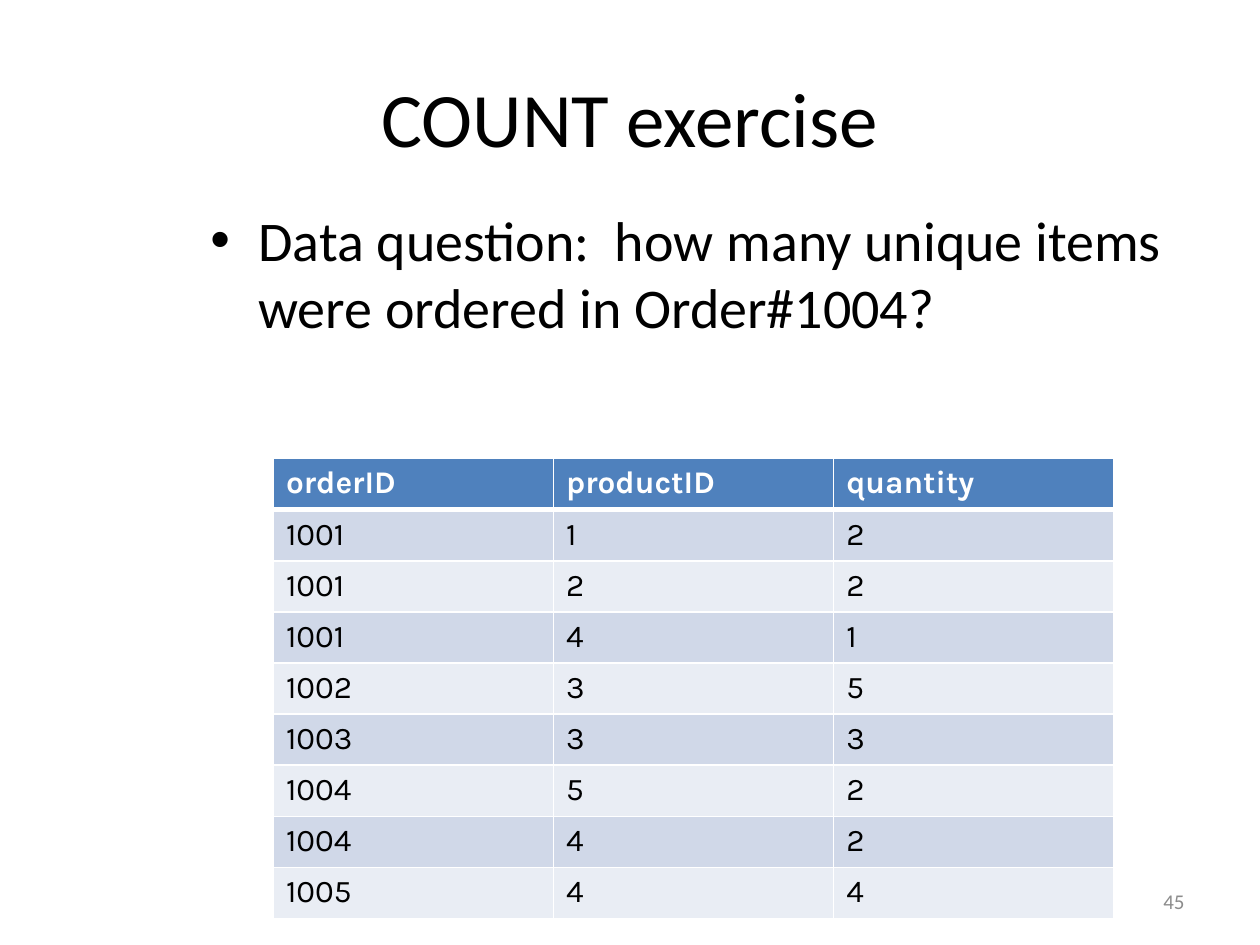
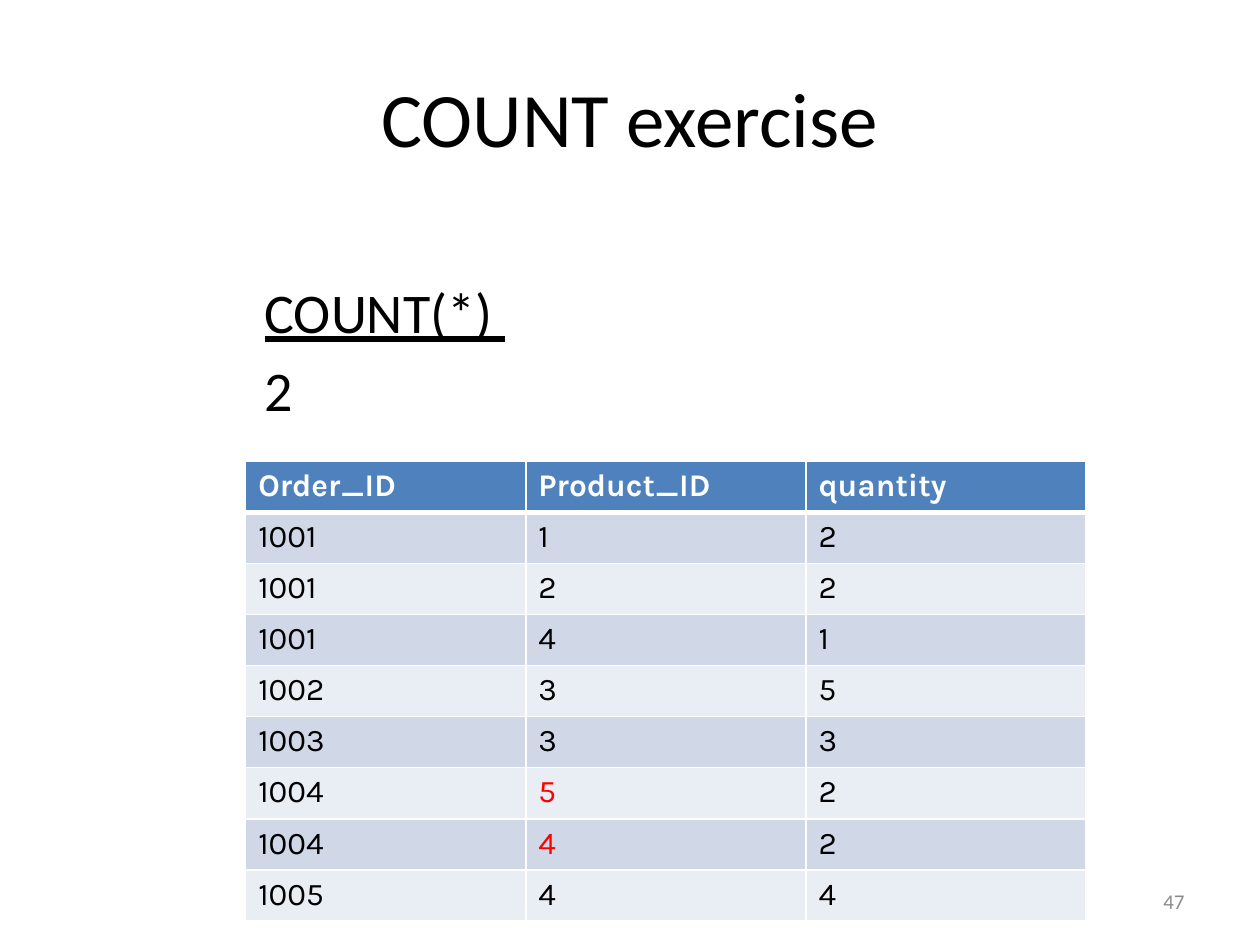
"""Builds two slides of a COUNT exercise with an order table."""
from lxml import etree
from pptx import Presentation
from pptx.dml.color import RGBColor
from pptx.enum.text import MSO_ANCHOR, MSO_AUTO_SIZE, PP_ALIGN
from pptx.oxml.ns import qn
from pptx.util import Inches, Pt

CENTER, RIGHT = PP_ALIGN.CENTER, PP_ALIGN.RIGHT
TOP, MIDDLE = MSO_ANCHOR.TOP, MSO_ANCHOR.MIDDLE
NO_FIT = MSO_AUTO_SIZE.NONE

COLORS = {
    "text": "000000",
    "page": "8C8C8C",
    "paper": "FFFFFF",
    "header": "4F81BD",
    "odd": "D0D8E8",
    "even": "E9EDF4",
    "highlight": "FF0000",
}
TEXT_FONT, TABLE_FONT = "Calibri", "Karla"
TITLE = "COUNT exercise"
ORDER_LINES = [
    ("1001", "1", "2"),
    ("1001", "2", "2"),
    ("1001", "4", "1"),
    ("1002", "3", "5"),
    ("1003", "3", "3"),
    ("1004", "5", "2"),
    ("1004", "4", "2"),
    ("1005", "4", "4"),
]


class Deck:
    """Holds the shared style and the current slide."""

    def __init__(self):
        self.presentation = Presentation()
        self.presentation.slide_width = Inches(10)
        self.presentation.slide_height = Inches(7.5)
        self.slide = None

    def new_slide(self, title, page):
        layout = self.presentation.slide_layouts[1]
        self.slide = self.presentation.slides.add_slide(layout)
        self.slide.background.fill.solid()
        self.slide.background.fill.fore_color.rgb = RGBColor.from_string(COLORS["paper"])
        heading = self.slide.shapes.title
        self.place(heading, 0.5, 0.3, 9, 1.25)
        self.fill_text(heading.text_frame, title, 44, MIDDLE, align=CENTER)
        page_box = self.slide.shapes.add_textbox(
            Inches(7.17), Inches(6.95), Inches(2.33), Inches(0.4))
        self.fill_text(page_box.text_frame, page, 12, MIDDLE, "page", RIGHT)

    def place(self, shape, left, top, width, height):
        shape.left, shape.top = Inches(left), Inches(top)
        shape.width, shape.height = Inches(width), Inches(height)

    def style(self, paragraph, size, color="text", font=TEXT_FONT, bold=False):
        for run in paragraph.runs:
            run.font.size = Pt(size)
            run.font.name = font
            run.font.bold = bold
            run.font.color.rgb = RGBColor.from_string(COLORS[color])

    def fill_text(self, frame, text, size, anchor, color="text", align=None):
        frame.text = text
        frame.word_wrap = True
        frame.auto_size = NO_FIT
        frame.vertical_anchor = anchor
        for paragraph in frame.paragraphs:
            paragraph.alignment = align
            self.style(paragraph, size, color)

    def body(self, lines, left, top, width, height, bullet=None):
        content = self.slide.placeholders[1]
        self.place(content, left, top, width, height)
        frame = content.text_frame
        self.fill_text(frame, "\n".join(lines), 32, TOP)
        for index, paragraph in enumerate(frame.paragraphs):
            properties = paragraph._p.get_or_add_pPr()
            properties.set("marL", str(Inches(0.38)))
            properties.set("indent", str(-Inches(0.38)))
            if bullet:
                etree.SubElement(properties, qn("a:buChar"), char=bullet)
            else:
                etree.SubElement(properties, qn("a:buNone"))
            paragraph.space_before = Pt(6.4 if index else 0)
        return frame

    def border(self, cell, side, width):
        line = etree.SubElement(
            cell._tc.get_or_add_tcPr(), qn(f"a:ln{side}"), w=str(Pt(width)))
        fill = etree.SubElement(line, qn("a:solidFill"))
        etree.SubElement(fill, qn("a:srgbClr"), val=COLORS["paper"])

    def cell(self, cell, text, row, color):
        cell.text = text
        header = row == 0
        self.style(cell.text_frame.paragraphs[0], 18, color, TABLE_FONT, header)
        widths = {"L": 1, "R": 1, "T": 3 if row == 1 else 1, "B": 3 if header else 1}
        for side, width in widths.items():
            self.border(cell, side, width)
        band = "header" if header else "odd" if row % 2 else "even"
        cell.fill.solid()
        cell.fill.fore_color.rgb = RGBColor.from_string(COLORS[band])

    def order_table(self, headings, left, top, highlighted=()):
        rows = [headings, *ORDER_LINES]
        table = self.slide.shapes.add_table(
            len(rows), len(headings), Inches(left), Inches(top),
            Inches(6.67), Inches(3.65)).table
        for row, values in enumerate(rows):
            for column, value in enumerate(values):
                color = "text" if row else "paper"
                if (row, column) in highlighted:
                    color = "highlight"
                self.cell(table.cell(row, column), value, row, color)


def main():
    deck = Deck()

    deck.new_slide(TITLE, "45")
    deck.body(["Data question:  how many unique items were ordered in Order#1004?"],
              1.57, 1.58, 8.2, 1.27, bullet="•")
    deck.order_table(("orderID", "productID", "quantity"), 2.17, 3.64)

    deck.new_slide(TITLE, "47")
    result = deck.body(["COUNT(*) ", "2"], 2, 2.15, 8.2, 1.89)
    result.paragraphs[0].runs[0].font.underline = True
    deck.order_table(("Order_ID", "Product_ID", "quantity"), 1.95, 3.66,
                     highlighted={(6, 1), (7, 1)})

    deck.presentation.save("out.pptx")


if __name__ == "__main__":
    main()
